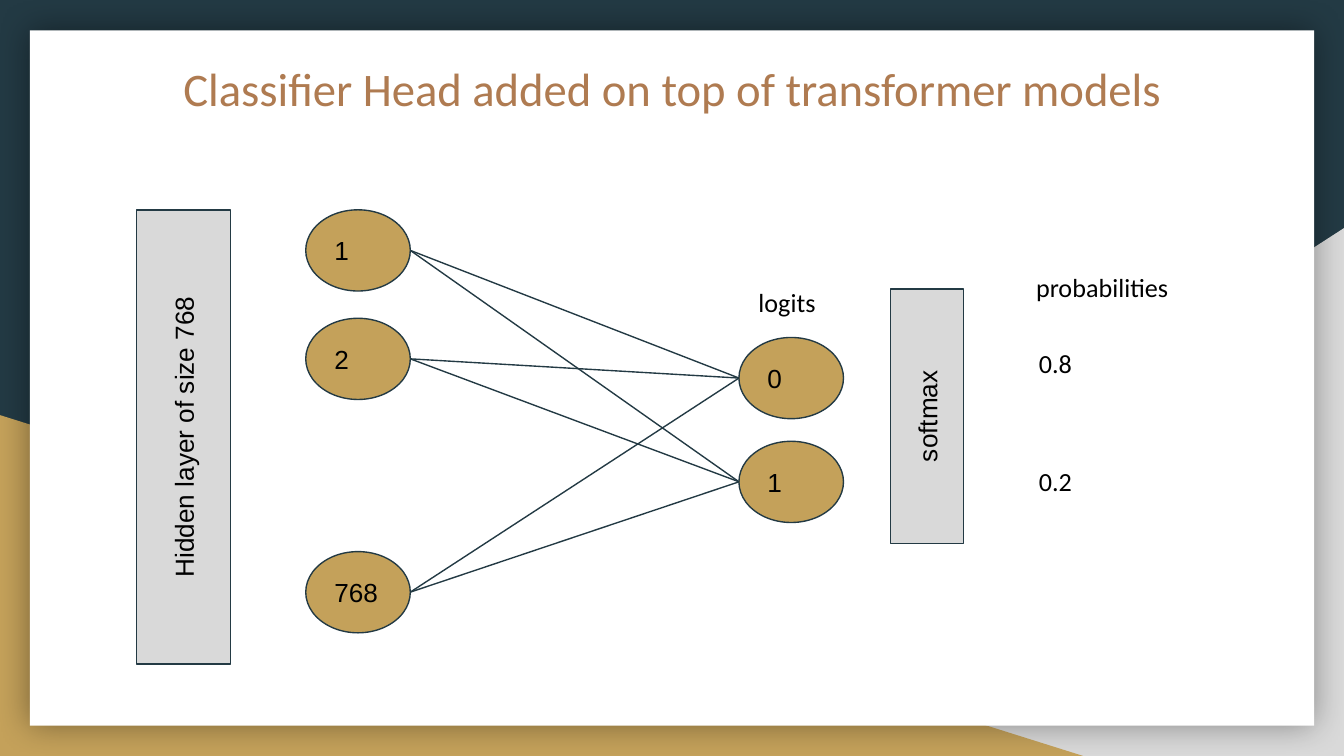
import pptx
import pptx.util
import pptx.dml.color
import pptx.enum.shapes
import pptx.enum.text
import pptx.oxml
import pptx.oxml.ns
import lxml.etree

Pt = pptx.util.Pt
Kind = pptx.enum.shapes.MSO_SHAPE
Align = pptx.enum.text.PP_ALIGN
Anchor = pptx.enum.text.MSO_ANCHOR
Fit = pptx.enum.text.MSO_AUTO_SIZE

NAVY, GOLD, GREY = "233A44", "C4A15A", "D9D9D9"
WHITE, BLACK, BROWN = "FFFFFF", "000000", "AF7B51"

GLOW = (
    '<a:effectLst %s><a:outerShdw blurRad="%d" dist="0" dir="0" algn="ctr" rotWithShape="0">'
    '<a:srgbClr val="000000"><a:alpha val="40000"/></a:srgbClr>'
    '</a:outerShdw></a:effectLst>'
)


def paint(fmt, color):
    fmt.solid()
    fmt.fore_color.rgb = pptx.dml.color.RGBColor.from_string(color)


class Deck:
    size = 14
    inset = 7.2
    stroke = 0.75

    def __init__(self, slide):
        self.slide = slide
        self.shapes = slide.shapes

    def words(self, shape, text, font, align=Align.LEFT, size=size, color=BLACK, anchor=Anchor.TOP):
        frame = shape.text_frame
        frame.margin_left = frame.margin_right = Pt(self.inset)
        frame.margin_top = frame.margin_bottom = Pt(self.inset)
        frame.word_wrap = True
        frame.vertical_anchor = anchor
        frame.text = text
        para = frame.paragraphs[0]
        para.alignment = align
        para.font.name = font
        para.font.size = Pt(size)
        paint(para.font.fill, color)
        return frame

    def title(self, text, x, y, w, h):
        head = self.shapes.title
        tree = head.element.getparent()
        tree.remove(head.element)
        tree.append(head.element)
        head.left, head.top, head.width, head.height = map(Pt, (x, y, w, h))
        frame = self.words(head, text, "Calibri", Align.CENTER, 25, BROWN)
        frame.auto_size = Fit.NONE

    def block(self, kind, x, y, w, h, fill, line=None):
        shape = self.shapes.add_shape(kind, Pt(x), Pt(y), Pt(w), Pt(h))
        shape.shadow.inherit = False
        paint(shape.fill, fill)
        if line:
            paint(shape.line.fill, line)
            shape.line.width = Pt(self.stroke)
        else:
            shape.line.fill.background()
        return shape

    def panel(self, x, y, w, h):
        shape = self.block(Kind.RECTANGLE, x, y, w, h, WHITE)
        props = shape.element.spPr
        plain = props.find(pptx.oxml.ns.qn("a:effectLst"))
        glow = pptx.oxml.parse_xml(GLOW % (pptx.oxml.ns.nsdecls("a"), Pt(18)))
        props.replace(plain, glow)

    def node(self, text, x, y, w, h):
        shape = self.block(Kind.OVAL, x, y, w, h, GOLD, NAVY)
        self.words(shape, text, "Arial", anchor=Anchor.MIDDLE)

    def bar(self, text, x, y, w, h):
        shape = self.block(Kind.RECTANGLE, x, y, w, h, GREY, NAVY)
        shape.rotation = 270
        self.words(shape, text, "Arial", Align.CENTER, anchor=Anchor.MIDDLE)

    def label(self, text, x, y, w, h, align=Align.LEFT):
        box = self.shapes.add_textbox(Pt(x), Pt(y), Pt(w), Pt(h))
        frame = self.words(box, text, "Calibri", align)
        frame.auto_size = Fit.SHAPE_TO_FIT_TEXT

    def edge(self, x1, y1, x2, y2):
        kind = pptx.enum.shapes.MSO_CONNECTOR.STRAIGHT
        line = self.shapes.add_connector(kind, Pt(x1), Pt(y1), Pt(x2), Pt(y2))
        paint(line.line.fill, NAVY)
        line.line.width = Pt(self.stroke)
        lxml.etree.SubElement(line.element.spPr, pptx.oxml.ns.qn("a:effectLst"))


show = pptx.Presentation()
show.slide_width, show.slide_height = Pt(720), Pt(405)
deck = Deck(show.slides.add_slide(show.slide_layouts[5]))
paint(deck.slide.background.fill, NAVY)

wedge = deck.block(Kind.RIGHT_TRIANGLE, 282.2, 122.2, 437.8, 282.8, GREY)
wedge.element.spPr.xfrm.set("flipH", "1")
deck.block(Kind.RIGHT_TRIANGLE, 0, 222.4, 580.3, 182.6, GOLD)
deck.panel(16, 16.2, 688, 372.5)
deck.title("Classifier Head added on top of transformer models", 64.5, 24.6, 591, 46.8)

wide, high = 56, 43.5
left, right = 163.8, 395.9
inputs = {"1": 112.4, "2": 170.5, "768": 295.5}
logits = {"0": 180.8, "1": 236.4}
for x, layer in ((left, inputs), (right, logits)):
    for text, y in layer.items():
        deck.node(text, x, y, wide, high)
for end in logits.values():
    for start in inputs.values():
        deck.edge(left + wide, start + high / 2, right, end + high / 2)

deck.bar("softmax", 428.4, 203.3, 136.3, 39.2)
deck.label("logits", 387.4, 146.2, 68.4, 31.7, Align.CENTER)
deck.label("probabilities", 548, 138.2, 96.5, 31.7)
deck.label("0.8", 549.4, 178.9, 56.2, 31.7)
deck.label("0.2", 549.4, 242.3, 39.6, 31.7)
deck.bar("Hidden layer of size 768", -23.3, 209, 243.2, 50.2)

show.save("out.pptx")
